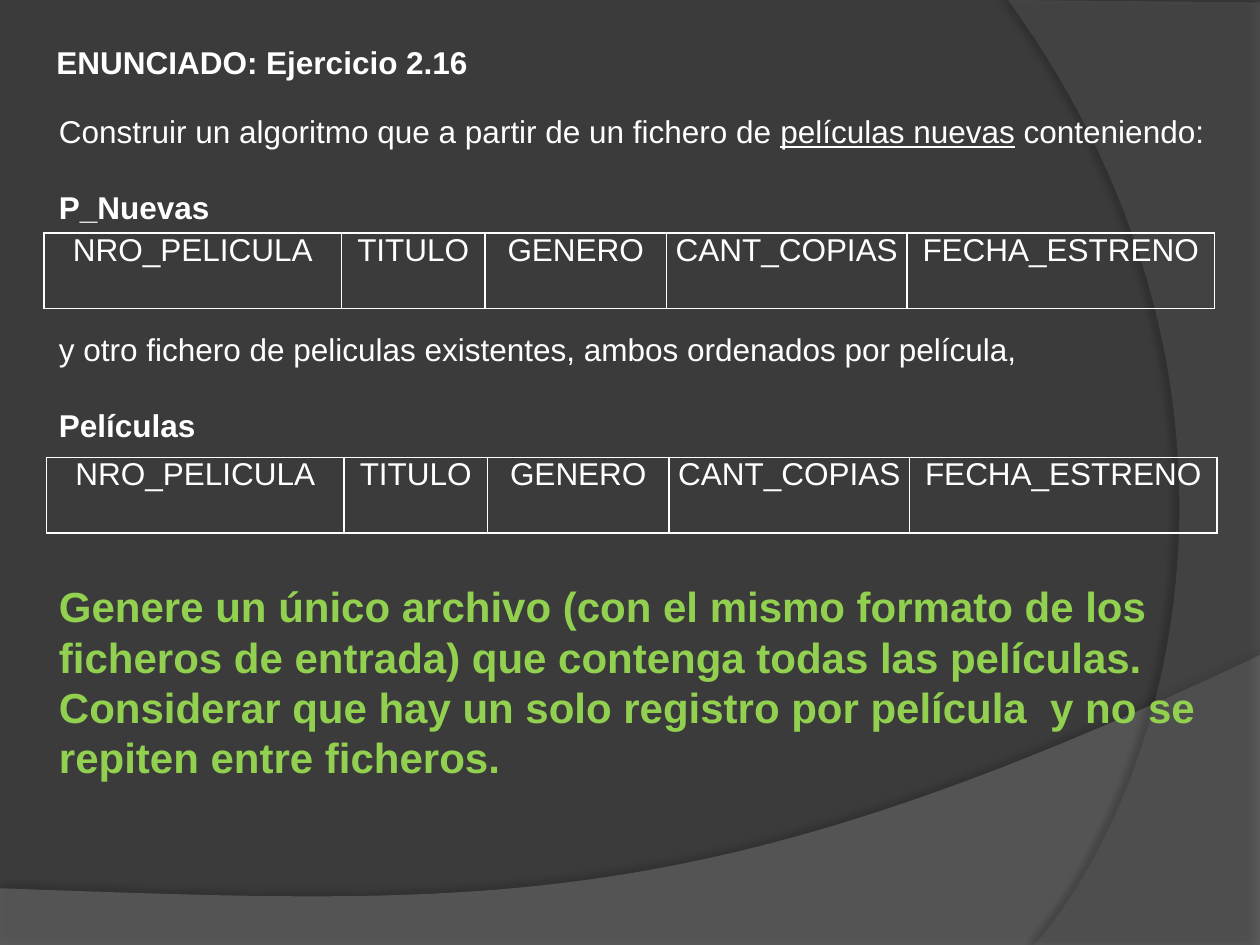
import lxml.etree
import pptx
import pptx.dml.color
import pptx.enum.text
import pptx.oxml
import pptx.oxml.ns
import pptx.util

COLORS = {
    "background": "3B3B3B",
    "wave": "7F7F7F",
    "arc": "5E5E5E",
    "text": "FFFFFF",
    "task": "92D050",
    "shadow": "000000",
}
FONT = "Arial"
NS = pptx.oxml.ns.nsdecls("a")
COLUMNS, ROWS = 100, 75

deck = pptx.Presentation()
deck.slide_width = pptx.util.Inches(10)
deck.slide_height = pptx.util.Inches(7.5)
slide = deck.slides.add_slide(deck.slide_layouts[6])
slide.background.fill.solid()
slide.background.fill.fore_color.rgb = pptx.dml.color.RGBColor.from_string(COLORS["background"])


def grid(*units):
    """Turn grid units (1/100 of the width, 1/75 of the height) into lengths."""
    return [pptx.util.Emu(round(unit * deck.slide_width / COLUMNS)) for unit in units]


def write(paragraph, pieces, size=18, color="text"):
    """Fill a paragraph with (text, style) pieces; style is "", "b" or "u"."""
    for words, style in pieces:
        run = paragraph.add_run()
        run.text = words
        run.font.name = FONT
        run.font.size = pptx.util.Pt(size)
        run.font.bold = style == "b"
        run.font.underline = style == "u"
        run.font.color.rgb = pptx.dml.color.RGBColor.from_string(COLORS[color])


# Backdrop: straight corners, then one Bezier edge (start, two controls, end)
backdrop = [
    ("wave", 45, 35, 3.5, 270,
     [(0, 70.5), (0, ROWS), (COLUMNS, ROWS)],
     [(COLUMNS, 52), (55.9, 72.9), (39.1, 71.9), (0, 70.5)]),
    ("arc", 40, 45, 4, 180,
     [(COLUMNS, 0.2), (COLUMNS, ROWS)],
     [(82.1, ROWS), (93.5, 61.9), (101.8, 30), (80, 0)]),
]
STEPS = 60
for color, opacity, shade, distance, direction, corners, curve in backdrop:
    edge = []
    for step in range(STEPS + 1):
        t = step / STEPS
        weights = ((1 - t) ** 3, 3 * t * (1 - t) ** 2, 3 * t * t * (1 - t), t ** 3)
        edge.append([sum(w * point[axis] for w, point in zip(weights, curve)) for axis in (0, 1)])
    outline = [grid(*point) for point in corners + edge]
    builder = slide.shapes.build_freeform(*outline[0])
    builder.add_line_segments(outline[1:], close=True)
    band = builder.convert_to_shape()
    band.line.fill.background()
    band.fill.solid()
    band.fill.fore_color.rgb = pptx.dml.color.RGBColor.from_string(COLORS[color])
    tint = band.fill._xPr.find(".//" + pptx.oxml.ns.qn("a:srgbClr"))
    lxml.etree.SubElement(tint, pptx.oxml.ns.qn("a:alpha"), val=str(opacity * 1000))
    band.shadow.inherit = False
    effects = band._element.spPr.find(pptx.oxml.ns.qn("a:effectLst"))
    effects.append(pptx.oxml.parse_xml(
        f'<a:outerShdw {NS} blurRad="{pptx.util.Pt(4)}" dist="{pptx.util.Pt(distance)}" '
        f'dir="{direction * 60000}" algn="ctr" rotWithShape="0">'
        f'<a:srgbClr val="{COLORS["shadow"]}"><a:alpha val="{shade * 1000}"/></a:srgbClr>'
        f'</a:outerShdw>'))

# Statement texts: place, size, colour, paragraphs
statement = [
    ((3.5, 2.9, 78, 4), 18, "text", [[("ENUNCIADO: Ejercicio 2.16", "b")]]),
    ((3.7, 8.4, 94.4, 10.1), 18, "text", [
        [("Construir un algoritmo que a partir de un fichero de ", ""),
         ("películas nuevas", "u"), (" conteniendo:", "")],
        [("P_Nuevas", "b")]]),
    ((3.7, 25.7, 78.7, 10.1), 18, "text", [
        [("y otro fichero de peliculas existentes, ambos ordenados por película,", "")],
        [("Películas", "b")]]),
    ((3.7, 45.6, 94.3, 17.2), 24, "task", [
        [("Genere un único archivo (con el mismo formato de los ficheros de entrada) "
          "que contenga todas las películas. Considerar que hay un solo registro por "
          "película  y no se repiten entre ficheros.", "b")]]),
]
for place, size, color, paragraphs in statement:
    frame = slide.shapes.add_textbox(*grid(*place)).text_frame
    frame.word_wrap = True
    for index, pieces in enumerate(paragraphs):
        paragraph = frame.paragraphs[0] if index == 0 else frame.add_paragraph()
        if index:
            paragraph.space_before = pptx.util.Pt(22)
        write(paragraph, pieces, size, color)

# Record layout of both files
fields = {"NRO_PELICULA": 23.6, "TITULO": 11.4, "GENERO": 14.4,
          "CANT_COPIAS": 19.1, "FECHA_ESTRENO": 24.4}
for left, top in [(3.5, 18.5), (3.7, 36.3)]:
    record = slide.shapes.add_table(
        1, len(fields), *grid(left, top, sum(fields.values()), 6)).table
    record.first_row = record.horz_banding = False
    for column, (field, width) in enumerate(fields.items()):
        record.columns[column].width = grid(width)[0]
        cell = record.cell(0, column)
        cell.fill.background()
        cell.margin_left = cell.margin_right = grid(0.5)[0]
        cell.margin_top = cell.margin_bottom = 0
        heading = cell.text_frame.paragraphs[0]
        heading.alignment = pptx.enum.text.PP_ALIGN.CENTER
        write(heading, [(field, "")])
        for position, side in enumerate("LRTB"):
            cell._tc.get_or_add_tcPr().insert(position, pptx.oxml.parse_xml(
                f'<a:ln{side} {NS} w="{pptx.util.Pt(1)}"><a:solidFill>'
                f'<a:srgbClr val="{COLORS["text"]}"/></a:solidFill></a:ln{side}>'))

deck.save("out.pptx")
